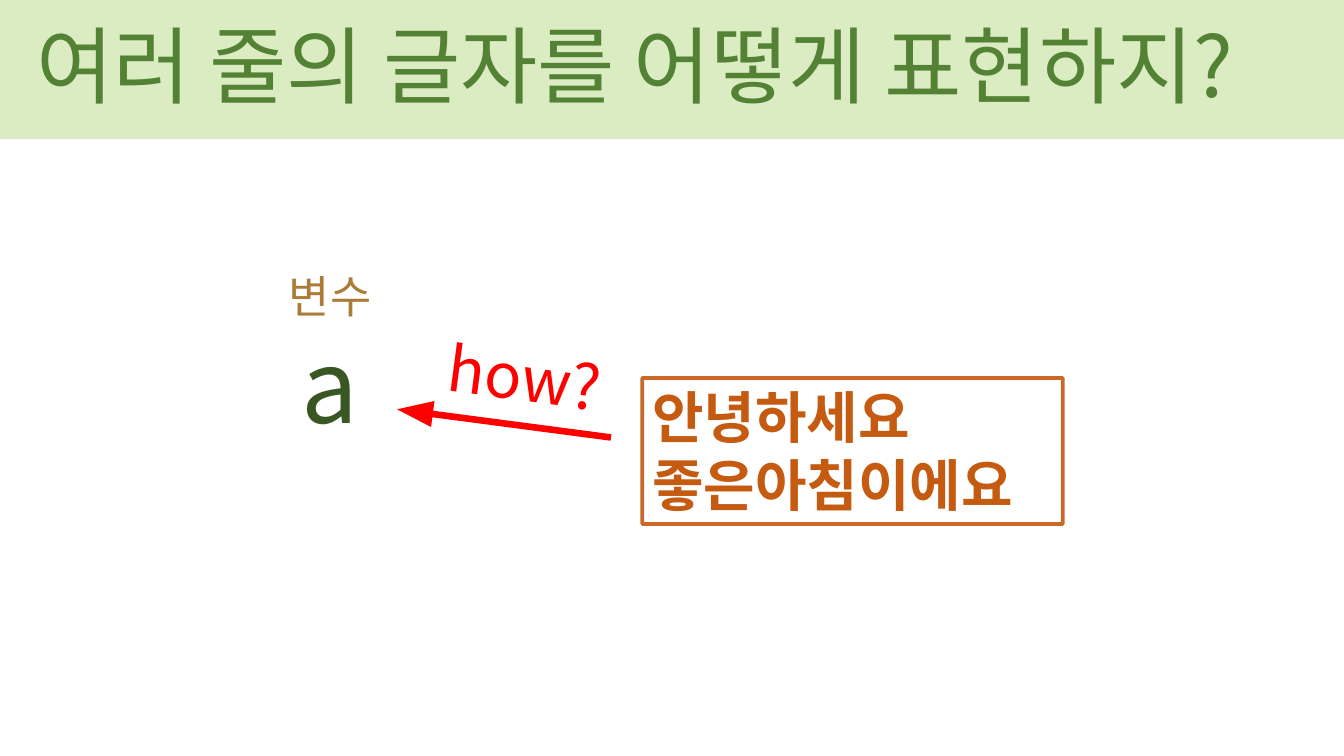
from dataclasses import dataclass
from lxml.etree import SubElement
from pptx import Presentation
from pptx.dml.color import RGBColor
from pptx.enum.shapes import MSO_SHAPE
from pptx.enum.text import MSO_ANCHOR, MSO_AUTO_SIZE, PP_ALIGN
from pptx.oxml.ns import qn
from pptx.util import Inches, Pt


@dataclass(frozen=True)
class Theme:
    font: str = "Noto Sans CJK KR"
    band: str = "DCECC2"
    green: str = "548235"
    dark: str = "385723"
    gold: str = "AA7C38"
    rust: str = "C55A11"
    red: str = "FF0000"
    title: int = 60
    label: int = 32
    name: int = 72
    value: int = 40
    ask: int = 44


T = Theme()
WIDE, HIGH = 13.33, 7.5

# Content: each line is text, size, colour, bold
TITLE = [("여러 줄의 글자를 어떻게 표현하지?", T.title, T.green, False)]
NAME = [("변수", T.label, T.gold, False), ("a", T.name, T.dark, False)]
VALUE = [("안녕하세요", T.value, T.rust, True),
         ("좋은아침이에요", T.value, T.rust, True)]
ASK = [("how?", T.ask, T.red, False)]

# Places: left, top, width, height as shares of the slide
BAND = (0, 0, 1, 0.184)
HEAD = (0.0195, 0.0107, 0.9542, 0.148)
LEFT = (0.1305, 0.3493, 0.2303, 0.2467)
RIGHT = (0.4779, 0.5, 0.3128, 0.1933)
ARROW = (0.2948, 0.5427, 0.1605, 0.0347)
OVER = (0.3256, 0.444, 0.1418, 0.112)
TILT = 7.5


def place(box):
    return [Inches(part * side) for part, side in zip(box, (WIDE, HIGH) * 2)]


def write(shape, lines, align=PP_ALIGN.LEFT):
    frame = shape.text_frame
    frame.text = "\n".join(line[0] for line in lines)
    frame.word_wrap = True
    frame.auto_size = MSO_AUTO_SIZE.SHAPE_TO_FIT_TEXT
    frame.vertical_anchor = MSO_ANCHOR.TOP
    for para, (_, size, color, bold) in zip(frame.paragraphs, lines):
        para.alignment = align
        font = para.runs[0].font
        font.name, font.size, font.bold = T.font, Pt(size), bold
        font.color.rgb = RGBColor.from_string(color)
        SubElement(font._element, qn("a:ea"), typeface=T.font)


def draw(slide, kind, box, fill=None):
    shape = slide.shapes.add_shape(kind, *place(box))
    shape.shadow.inherit = False
    shape.line.fill.background()
    if fill:
        shape.fill.solid()
        shape.fill.fore_color.rgb = RGBColor.from_string(fill)
    else:
        shape.fill.background()
    return shape


def label(slide, box, lines, align=PP_ALIGN.LEFT):
    shape = slide.shapes.add_textbox(*place(box))
    write(shape, lines, align)
    return shape


def main():
    deck = Presentation()
    deck.slide_width, deck.slide_height = Inches(WIDE), Inches(HIGH)
    slide = deck.slides.add_slide(deck.slide_layouts[6])

    # Title band
    draw(slide, MSO_SHAPE.RECTANGLE, BAND, T.band)
    label(slide, HEAD, TITLE)

    # Variable and its value
    label(slide, LEFT, NAME, PP_ALIGN.CENTER)
    value = draw(slide, MSO_SHAPE.RECTANGLE, RIGHT)
    value.line.color.rgb = RGBColor.from_string(T.rust)
    value.line.width = Pt(2.75)
    tint = value.line._ln.find(".//" + qn("a:srgbClr"))
    SubElement(tint, qn("a:alpha"), val="91000")
    write(value, VALUE)

    # Arrow from value to variable
    arrow = draw(slide, MSO_SHAPE.RIGHT_ARROW, ARROW, T.red)
    arrow.adjustments[0], arrow.adjustments[1] = 0.25, 1.37
    arrow.rotation = 180 + TILT
    label(slide, OVER, ASK).rotation = TILT

    deck.save("out.pptx")


if __name__ == "__main__":
    main()
